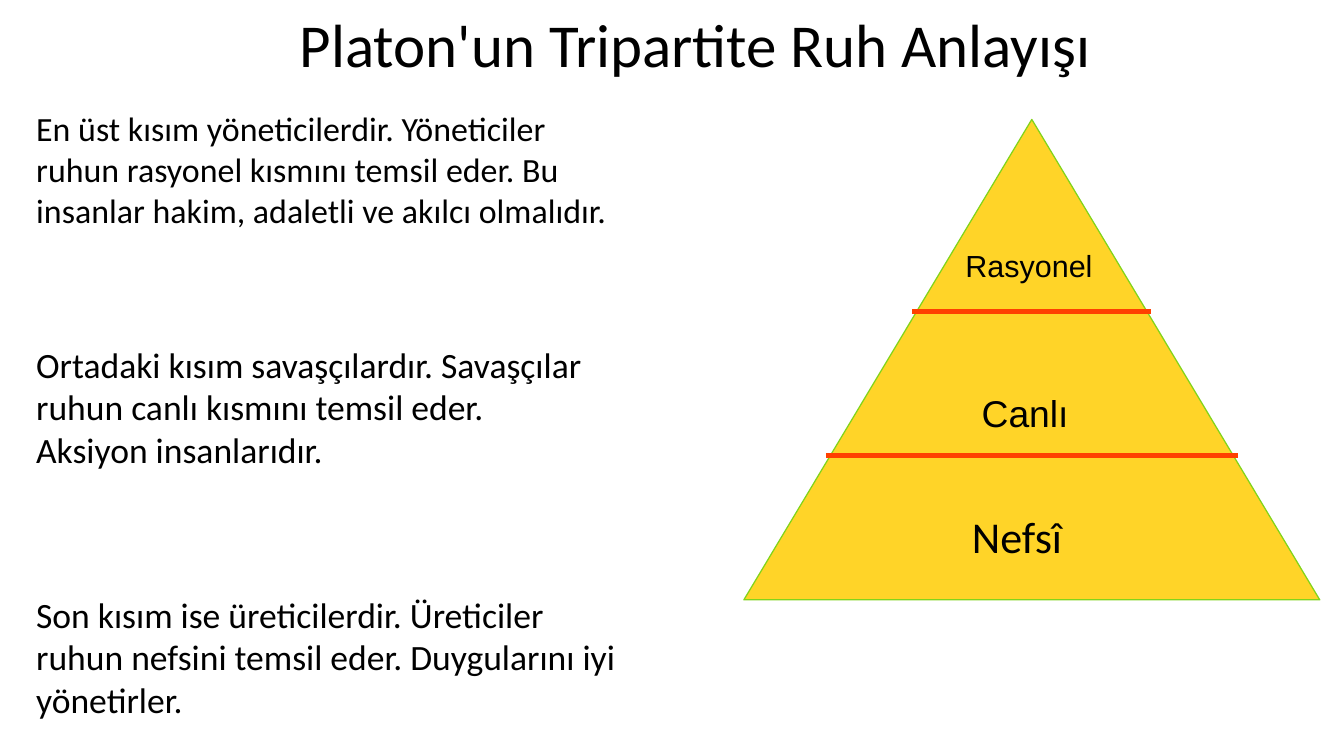
from dataclasses import dataclass

from lxml import etree
from pptx import Presentation, util as u
from pptx.dml.color import RGBColor as Rgb
from pptx.enum import shapes, text
from pptx.oxml.ns import qn


@dataclass(frozen=True)
class Theme:
    ink: str = "000000"
    gold: str = "FFD428"
    edge: str = "81D41A"
    bar: str = "FF4000"
    body: str = "Calibri"
    label: str = "Arial"
    head: int = 36
    large: int = 26
    mid: int = 22
    note: int = 21
    small: int = 20
    tiny: int = 18


THEME = Theme()
WIDE, HIGH = u.Inches(11.02), u.Inches(6.2)
PAGE = (0, 0, WIDE, HIGH)


def part(box, x, y, w, h):
    """Return the area given in percent of a box."""
    left, top, wide, high = box
    return (round(left + wide * x / 100), round(top + high * y / 100),
            round(wide * w / 100), round(high * h / 100))


def place(shape, box):
    shape.left, shape.top, shape.width, shape.height = box


def write(shape, words, size, font=THEME.body, wrap=True):
    frame = shape.text_frame
    frame.word_wrap = wrap
    frame.auto_size = text.MSO_AUTO_SIZE.NONE
    frame.vertical_anchor = text.MSO_ANCHOR.TOP
    frame.text = words
    para = frame.paragraphs[0]
    para.alignment = text.PP_ALIGN.LEFT
    run = para.runs[0].font
    run.name, run.size = font, u.Pt(size)
    run.color.rgb = Rgb.from_string(THEME.ink)


def heading(slide, box):
    title = slide.shapes.title
    place(title, box)
    write(title, "Platon'un Tripartite Ruh Anlayışı", THEME.head)


def notes(slide, box):
    """Place the three descriptions; rows are in percent of the box."""
    rows = [
        (0, 96, THEME.small, "En üst kısım yöneticilerdir. Yöneticiler ruhun rasyonel "
         "kısmını temsil eder. Bu insanlar hakim, adaletli ve akılcı olmalıdır."),
        (37.4, 92, THEME.note, "Ortadaki kısım savaşçılardır. Savaşçılar ruhun canlı "
         "kısmını temsil eder. Aksiyon insanlarıdır."),
        (77.3, 100, THEME.note, "Son kısım ise üreticilerdir. Üreticiler ruhun nefsini "
         "temsil eder. Duygularını iyi yönetirler."),
    ]
    for top, wide, size, words in rows:
        note = slide.shapes.add_textbox(*part(box, 0, top, wide, 22.7))
        write(note, words, size)


def divide(slide, box, depth):
    """Draw a bar across the pyramid at a percent of its height."""
    over = 0.75
    left, y, wide, _ = part(box, 50 - depth / 2 - over, depth, depth + 2 * over, 0)
    bar = slide.shapes.add_connector(shapes.MSO_CONNECTOR.STRAIGHT, left, y, left + wide, y)
    bar.line.color.rgb = Rgb.from_string(THEME.bar)
    bar.line.width = u.Pt(3)
    etree.SubElement(bar._element.spPr, qn("a:effectLst"))


def pyramid(slide, box):
    body = slide.shapes.add_shape(shapes.MSO_SHAPE.ISOSCELES_TRIANGLE, *box)
    body.shadow.inherit = False
    body.fill.solid()
    body.fill.fore_color.rgb = Rgb.from_string(THEME.gold)
    body.line.color.rgb = Rgb.from_string(THEME.edge)
    body.line.width = u.Pt(0)
    for depth in (40, 70):
        divide(slide, box, depth)
    labels = [
        ("Rasyonel", THEME.tiny, THEME.label, (36.4, 25.4, 26.3, 9.6)),
        ("Canlı", THEME.mid, THEME.label, (39.2, 55.1, 19.3, 11.2)),
        ("Nefsî", THEME.large, THEME.body, (37.5, 80, 21.6, 13.7)),
    ]
    for words, size, font, area in labels:
        label = slide.shapes.add_textbox(*part(box, *area))
        write(label, words, size, font=font, wrap=False)


def main():
    deck = Presentation()
    deck.slide_width, deck.slide_height = WIDE, HIGH
    slide = deck.slides.add_slide(deck.slide_layouts[5])
    heading(slide, part(PAGE, 21.4, 0, 76.8, 22.3))
    notes(slide, part(PAGE, 1.8, 13.5, 46.5, 82.9))
    pyramid(slide, part(PAGE, 55.35, 15.8, 42.85, 63.55))
    deck.save("out.pptx")


if __name__ == "__main__":
    main()
